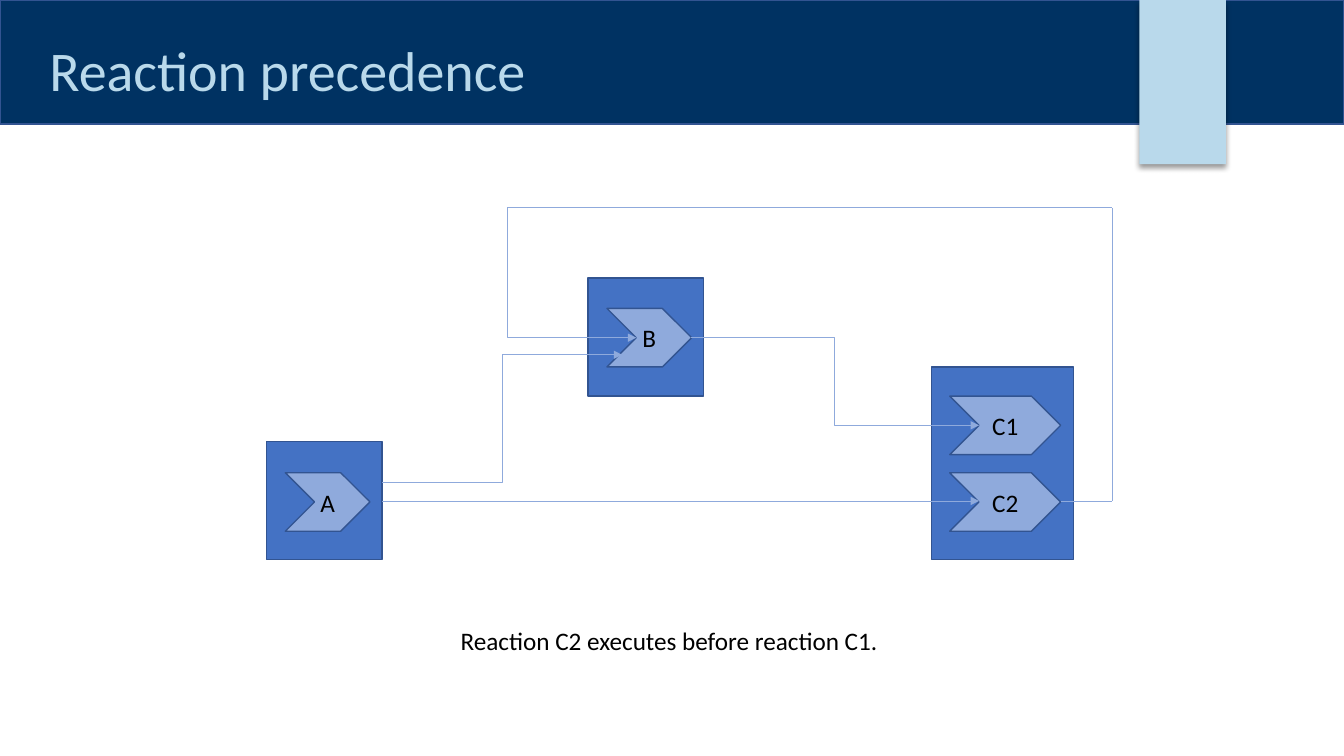
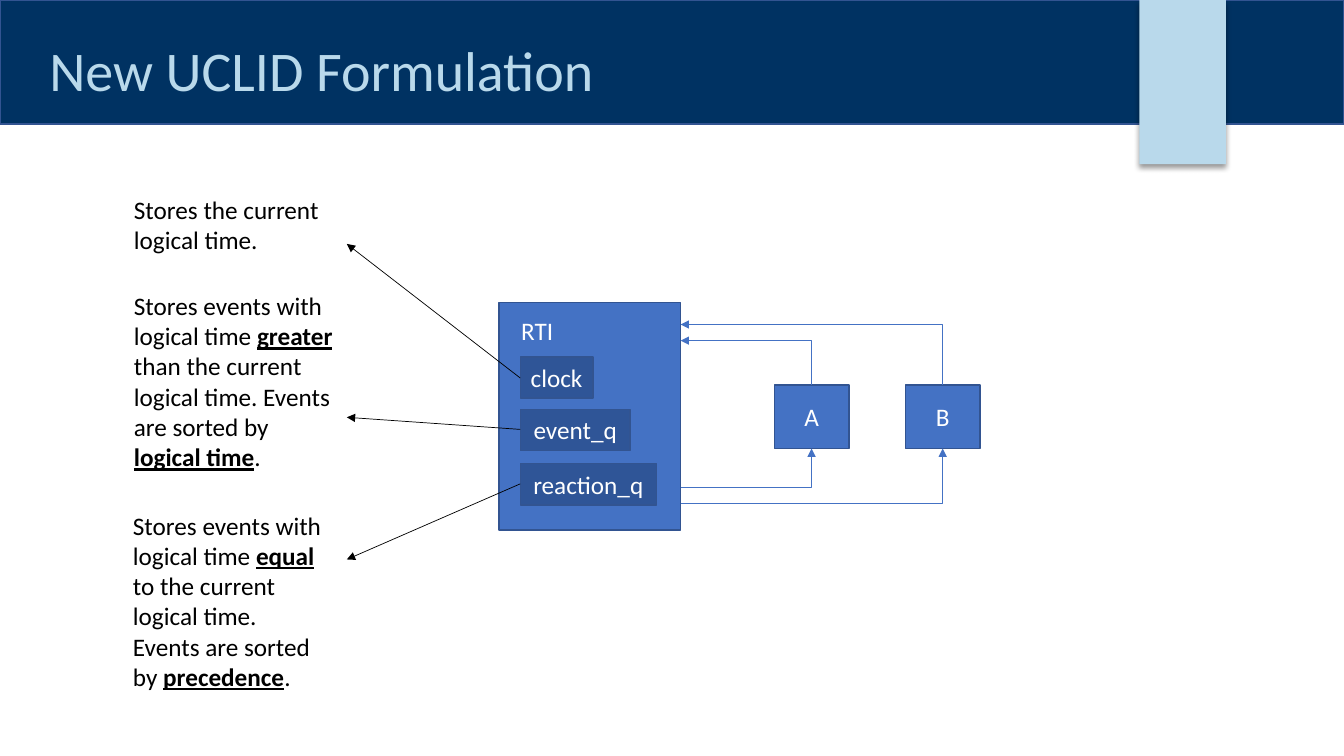
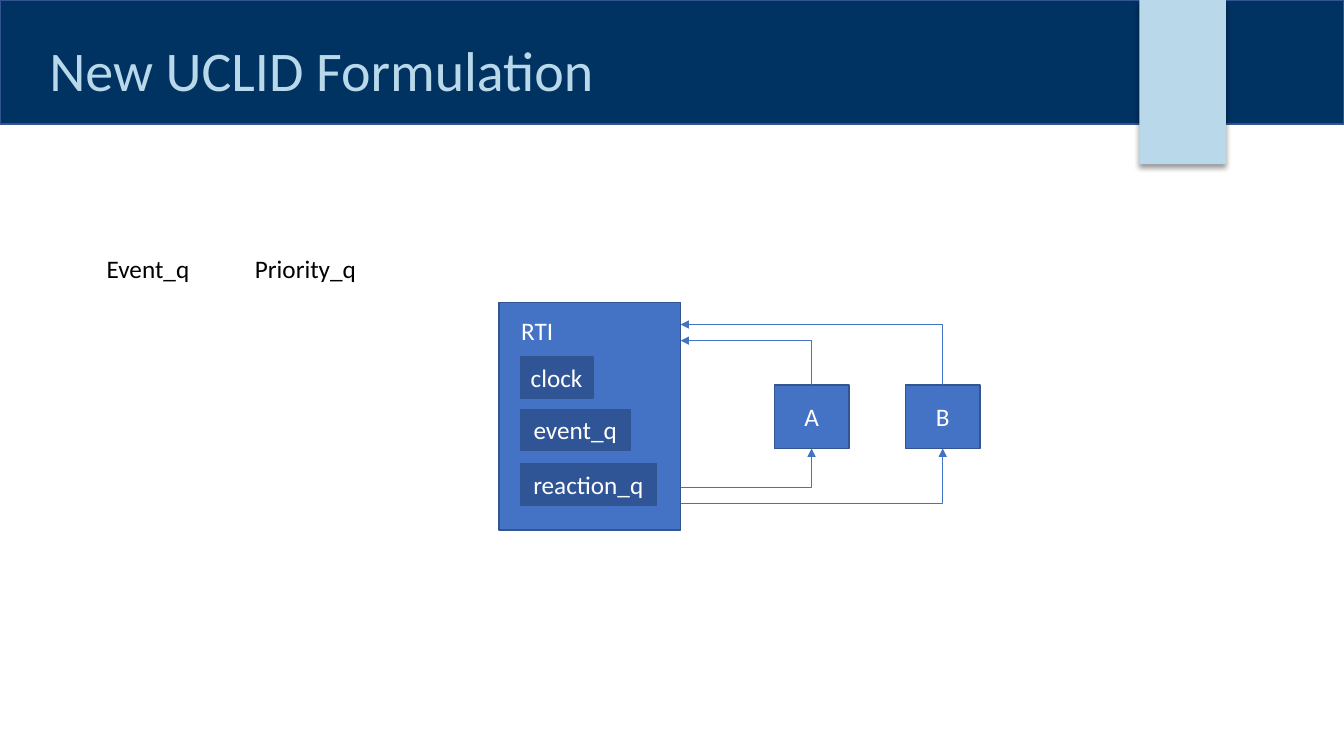
from lxml import etree
from pptx import Presentation, util as u
from pptx.dml.color import RGBColor
from pptx.enum import shapes, text as t
from pptx.oxml import parse_xml
from pptx.oxml.ns import nsdecls, qn

COLORS = {
    "navy": "003262", "ice": "B9D9EB", "blue": "4472C4", "edge": "325491",
    "deep": "2F5597", "pale": "8FAADC", "black": "000000", "white": "FFFFFF",
}
FONT = "Calibri"
RECT, CHEVRON = shapes.MSO_SHAPE.RECTANGLE, shapes.MSO_SHAPE.CHEVRON
COLUMNS, ROWS = 13.33, 7.5

deck = Presentation()
deck.slide_width, deck.slide_height = u.Inches(COLUMNS), u.Inches(ROWS)
CELL = deck.slide_height / ROWS  # grid cells are square


def write(frame, words, size=18, color="black", align="LEFT", anchor="TOP",
          wrap=True, fit="NONE", spacing=1.0, inset=0.1):
    """Fill a text frame; words between asterisks are bold and underlined."""
    frame.word_wrap, frame.auto_size = wrap, t.MSO_AUTO_SIZE[fit]
    frame.vertical_anchor = t.MSO_ANCHOR[anchor]
    frame.margin_left = frame.margin_right = round(inset * CELL)
    para = frame.paragraphs[0]
    para.alignment, para.line_spacing = t.PP_ALIGN[align], spacing
    for index, part in enumerate(words.split("*")):
        span = para.add_run()
        span.text = part
        font = span.font
        font.name, font.size = FONT, u.Pt(size)
        font.color.rgb = RGBColor.from_string(COLORS[color])
        font.bold = font.underline = index % 2 == 1


def draw(page, place, words="", kind=RECT, fill="blue", edge="edge", **style):
    """Add a preset shape, or a text box when kind is None."""
    place = [round(length * CELL) for length in place]
    if kind is None:
        box = page.shapes.add_textbox(*place)
        write(box.text_frame, words, fit="SHAPE_TO_FIT_TEXT", **style)
        return box
    box = page.shapes.add_shape(kind, *place)
    box.shadow.inherit = False
    box.fill.solid()
    box.fill.fore_color.rgb = RGBColor.from_string(COLORS[fill])
    if edge:
        box.line.color.rgb = RGBColor.from_string(COLORS[edge])
        box.line.width = u.Pt(1)
    else:
        box.line.fill.background()
    if words:
        write(box.text_frame, words, align="CENTER", anchor="MIDDLE", inset=0.05, **style)
    return box


def wire(page, start, end, color, bend=None, arrow=True):
    """Join two points; bend is None, 'middle', 'across' or 'upright' (first leg)."""
    if bend == "upright":  # lay the path out sideways about its centre, then turn it
        (x1, y1), (x2, y2) = start, end
        x, y, dx, dy = (x1 + x2) / 2, (y1 + y2) / 2, (y1 - y2) / 2, (x2 - x1) / 2
        start, end = (x - dx, y - dy), (x + dx, y + dy)
    kind = shapes.MSO_CONNECTOR.ELBOW if bend else shapes.MSO_CONNECTOR.STRAIGHT
    line = page.shapes.add_connector(kind, *[round(n * CELL) for n in (*start, *end)])
    line.line.color.rgb = RGBColor.from_string(COLORS[color])
    line.line.width = u.Pt(0.5)
    props = line._element.spPr
    if bend in ("across", "upright"):
        props.find(qn("a:prstGeom")).set("prst", "bentConnector2")
    if bend == "upright":
        props.find(qn("a:xfrm")).set("rot", str(270 * 60000))
    if arrow:
        etree.SubElement(props.find(qn("a:ln")), qn("a:tailEnd")).set("type", "triangle")
    etree.SubElement(props, qn("a:effectLst"))


# Shared title band and ribbon, kept on the layout
layout = deck.slide_layouts.get_by_name("Title Only")
pages = []
for heading in ("Reaction precedence", "New UCLID Formulation", "New UCLID Formulation"):
    page = deck.slides.add_slide(layout)
    title = page.shapes.title
    title.left, title.top, title.width, title.height = [
        round(length * CELL) for length in (0.39, 0.15, 10.51, 0.93)]
    write(title.text_frame, heading, size=40, color="ice", anchor="BOTTOM", spacing=0.9)
    pages.append(page)
precedence, formulation, queues = pages

band = draw(precedence, (0, 0, COLUMNS, 1.23), fill="navy")
ribbon = draw(precedence, (11.3, 0, 0.86, 1.63), fill="ice", edge=None)
ribbon_props = ribbon._element.spPr
ribbon_props.remove(ribbon_props.find(qn("a:effectLst")))
ribbon_props.append(parse_xml(
    f'<a:effectLst {nsdecls("a")}><a:outerShdw blurRad="{u.Pt(4)}" dist="{u.Pt(3)}" '
    'dir="5400000" algn="t" rotWithShape="0"><a:srgbClr val="000000">'
    '<a:alpha val="40000"/></a:srgbClr></a:outerShdw></a:effectLst>'))
for box in (band, ribbon):
    layout.shapes._spTree.append(box._element)

# Slide 1: reactors, their reactions and the links between them
draw(precedence, (4.47, 6.15, 4.39, 0.4), "Reaction C2 executes before reaction C1.",
     kind=None, wrap=False)
for place in ((2.64, 4.38, 1.15, 1.17), (9.24, 3.64, 1.41, 1.91), (5.83, 2.76, 1.15, 1.17)):
    draw(precedence, place)
for name, left, top, width in (("A", 2.83, 4.69, 0.84), ("C2", 9.42, 4.69, 1.1),
                               ("B", 6.02, 3.06, 0.84), ("C1", 9.42, 3.93, 1.1)):
    draw(precedence, (left, top, width, 0.58), name, kind=CHEVRON, fill="pale")
for start, end, bend, arrow in (
        ((3.79, 4.97), (9.71, 4.97), None, True),
        ((3.79, 4.79), (6.17, 3.52), "middle", True),
        ((6.85, 3.35), (9.71, 4.22), "middle", True),
        ((10.52, 4.97), (11.03, 4.97), None, False),
        ((11.03, 4.97), (11.03, 2.06), None, False),
        ((11.03, 2.06), (5.03, 2.06), None, False),
        ((5.03, 2.06), (6.31, 3.35), "upright", True)):
    wire(precedence, start, end, "pale", bend, arrow)

# Slides 2 and 3: runtime with its queues, wired to two reactors
RTI_RIGHT, REACTOR_TOP, REACTOR_WIDTH, REACTOR_HEIGHT = 6.75, 3.82, 0.74, 0.63
for page in (formulation, queues):
    draw(page, (4.95, 3, 1.8, 2.26))
    draw(page, (5.07, 3.08, 0.52, 0.4), "RTI", kind=None, color="white", wrap=False)
    for name, top, width in (("clock", 3.54, 0.72), ("event_q", 4.06, 1.09),
                             ("reaction_q", 4.6, 1.35)):
        draw(page, (5.16, top, width, 0.41), name, fill="deep", color="white")
    for name, left, back, forth in (("A", 7.68, 3.38, 4.84), ("B", 8.98, 3.22, 4.99)):
        draw(page, (left, REACTOR_TOP, REACTOR_WIDTH, REACTOR_HEIGHT), name, color="white")
        middle = left + REACTOR_WIDTH / 2
        wire(page, (middle, REACTOR_TOP), (RTI_RIGHT, back), "blue", "upright")
        wire(page, (RTI_RIGHT, forth), (middle, REACTOR_TOP + REACTOR_HEIGHT), "blue", "across")

# Slide 2: a note for each part of the runtime
for place, words, source, target in (
        ((1.23, 1.88, 2.21, 0.71), "Stores the current logical time.", 3.75, 2.42),
        ((1.23, 2.83, 2.2, 1.92),
         "Stores events with logical time *greater* than the current logical time. "
         "Events are sorted by *logical time*.", 4.26, 4.14),
        ((1.22, 5.01, 2.09, 1.92),
         "Stores events with logical time *equal* to the current logical time. "
         "Events are sorted by *precedence*.", 4.8, 5.55)):
    draw(formulation, place, words, kind=None)
    wire(formulation, (5.16, source), (3.44, target), "black")

# Slide 3: queue names
for name, left, width in (("Event_q", 0.96, 1.03), ("Priority_q", 2.43, 1.21)):
    draw(queues, (left, 2.46, width, 0.4), name, kind=None, wrap=False)

deck.save("out.pptx")
